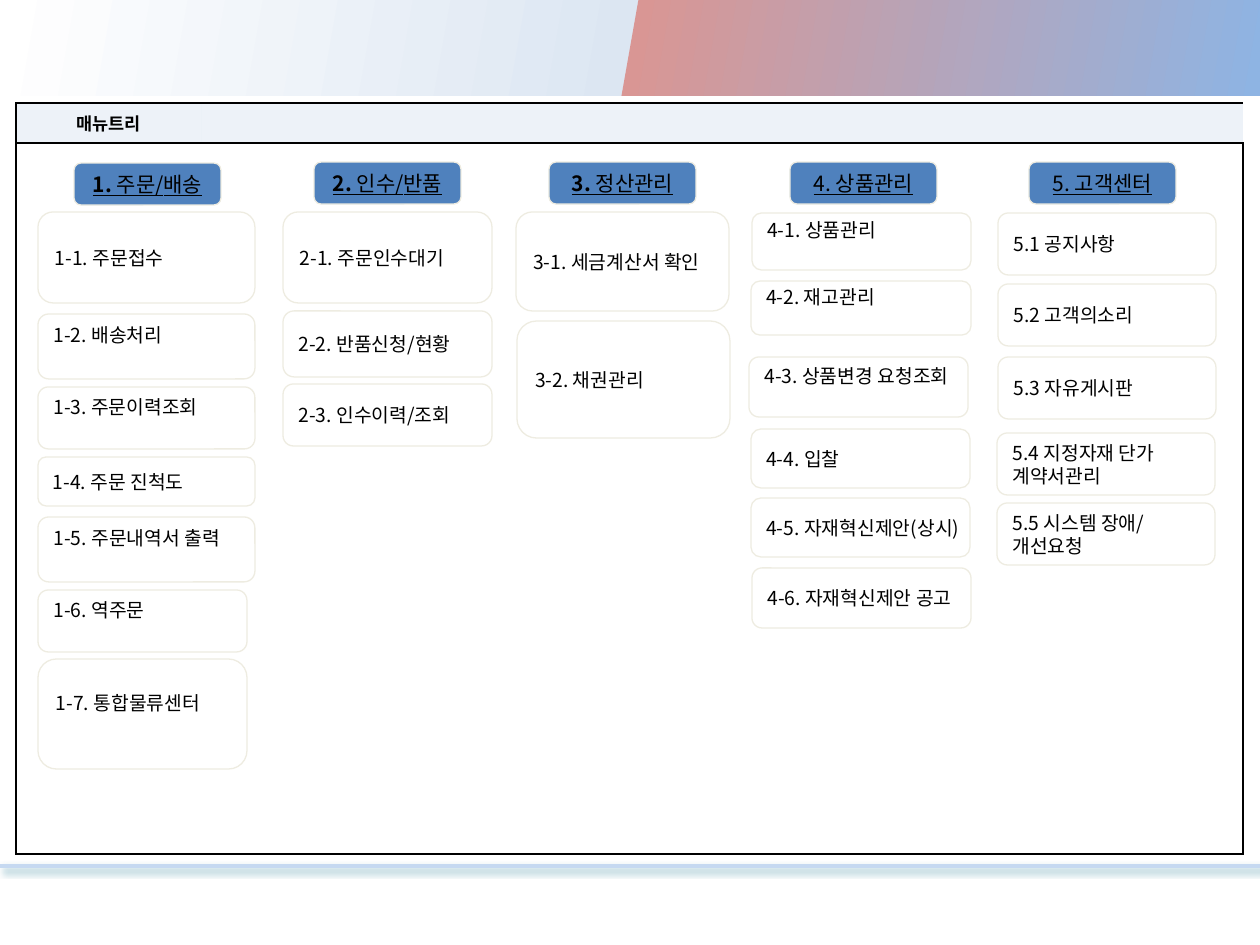
"""Build the menu tree slide with its banner, frame table and menu columns."""
from dataclasses import dataclass

from lxml.etree import SubElement
from pptx import Presentation
from pptx.dml.color import RGBColor
from pptx.enum.shapes import MSO_CONNECTOR as Connector, MSO_SHAPE as Shape
from pptx.enum.text import MSO_ANCHOR as Anchor, PP_ALIGN as Align
from pptx.oxml.ns import qn
from pptx.slide import Slide
from pptx.util import Emu, Pt

FONT = "Noto Sans CJK KR"
BLACK = RGBColor(0x00, 0x00, 0x00)
WHITE = RGBColor(0xFF, 0xFF, 0xFF)
BLUE = RGBColor(0x4F, 0x81, 0xBD)
IVORY = RGBColor(0xEE, 0xEC, 0xE1)
PALE_BLUE = RGBColor(0xDC, 0xE6, 0xF2)
LINE_BLUE = RGBColor(0xC6, 0xD9, 0xF1)
TEAL = RGBColor(0x31, 0x85, 0x9C)
ROSE = RGBColor(0xD9, 0x96, 0x94)
SKY = RGBColor(0x8E, 0xB4, 0xE3)
BANNER_STOPS = ((0, WHITE), (50, PALE_BLUE), (50, ROSE), (100, SKY))

SLIDE_WIDTH, SLIDE_HEIGHT = 1260, 945
HEAD_WIDTH, HEAD_HEIGHT = 147, 42
LIFT = 23


@dataclass(frozen=True)
class Item:
    label: str
    left: int
    top: int
    width: int
    height: int
    lifted: bool = False


@dataclass(frozen=True)
class Menu:
    number: str
    title: str
    left: int
    top: int
    bold_number: bool
    items: tuple[Item, ...]


MENUS = (
    Menu("1. ", "주문/배송", 74, 163, True, (
        Item("1-1. 주문접수", 38, 212, 217, 91),
        Item("1-2. 배송처리", 38, 314, 217, 65, True),
        Item("1-3. 주문이력조회", 38, 387, 217, 62, True),
        Item("1-4. 주문 진척도", 38, 457, 217, 49),
        Item("1-5. 주문내역서 출력", 38, 517, 217, 65, True),
        Item("1-6. 역주문", 38, 590, 209, 62, True),
        Item("1-7. 통합물류센터", 38, 659, 209, 110, True),
    )),
    Menu("2. ", "인수/반품", 314, 162, True, (
        Item("2-1. 주문인수대기", 283, 212, 209, 91),
        Item("2-2. 반품신청/현황", 283, 311, 209, 66),
        Item("2-3. 인수이력/조회", 283, 384, 209, 62),
    )),
    Menu("3. ", "정산관리", 549, 162, True, (
        Item("3-1. 세금계산서 확인", 516, 212, 213, 99),
        Item("3-2. 채권관리", 517, 321, 213, 117),
    )),
    Menu("4. ", "상품관리", 790, 162, False, (
        Item("4-1. 상품관리", 752, 213, 219, 57, True),
        Item("4-2. 재고관리", 751, 281, 220, 54, True),
        Item("4-3. 상품변경 요청조회", 749, 357, 219, 60, True),
        Item("4-4. 입찰", 751, 429, 219, 59),
        Item("4-5. 자재혁신제안(상시)", 751, 498, 219, 59),
        Item("4-6. 자재혁신제안 공고", 752, 568, 219, 60),
    )),
    Menu("5. ", "고객센터", 1029, 162, False, (
        Item("5.1 공지사항", 998, 213, 218, 62),
        Item("5.2 고객의소리", 998, 284, 218, 62),
        Item("5.3 자유게시판", 998, 357, 218, 62),
        Item("5.4 지정자재 단가\n계약서관리", 997, 433, 218, 62),
        Item("5.5 시스템 장애/\n개선요청", 997, 503, 218, 62),
    )),
)


def px(length: int) -> Emu:
    return Emu(round(length * 914400 / 126))


def add_run(para, text: str, size: int, bold=False, underline=False) -> None:
    span = para.add_run()
    span.text = text
    font = span.font
    font.size, font.bold, font.underline = Pt(size), bold, underline
    font.color.rgb = BLACK
    font.name = FONT
    SubElement(font._element, qn("a:ea"), typeface=FONT)


def add_box(slide: Slide, left: int, top: int, width: int, height: int, fill: RGBColor):
    box = slide.shapes.add_shape(Shape.ROUNDED_RECTANGLE, px(left), px(top), px(width), px(height))
    box.shadow.inherit = False
    box.fill.solid()
    box.fill.fore_color.rgb = fill
    box.line.color.rgb = IVORY
    box.line.width = Pt(0.75)
    box.text_frame.word_wrap = False
    box.text_frame.vertical_anchor = Anchor.MIDDLE
    return box


def add_item(slide: Slide, item: Item) -> None:
    frame = add_box(slide, item.left, item.top, item.width, item.height, WHITE).text_frame
    if item.lifted:
        frame.margin_top, frame.margin_bottom = px(0), px(LIFT)
    for index, text in enumerate(item.label.split("\n")):
        para = frame.add_paragraph() if index else frame.paragraphs[0]
        para.alignment = Align.LEFT
        add_run(para, text, 11)


def add_menu(slide: Slide, menu: Menu) -> None:
    head = add_box(slide, menu.left, menu.top, HEAD_WIDTH, HEAD_HEIGHT, BLUE)
    para = head.text_frame.paragraphs[0]
    para.alignment = Align.CENTER
    add_run(para, menu.number, 12, menu.bold_number, True)
    add_run(para, menu.title, 12, False, True)
    for item in menu.items:
        add_item(slide, item)


def add_color(parent, color: RGBColor, alpha: int = 100) -> None:
    node = SubElement(parent, qn("a:srgbClr"), val=str(color))
    if alpha < 100:
        SubElement(node, qn("a:alpha"), val=str(alpha * 1000))


def set_borders(cell, visible: dict[str, bool]) -> None:
    properties = cell._tc.get_or_add_tcPr()
    for side, shown in visible.items():
        edge = SubElement(properties, qn(f"a:ln{side}"), w=str(Pt(1)))
        if shown:
            add_color(SubElement(edge, qn("a:solidFill")), BLACK)
        else:
            SubElement(edge, qn("a:noFill"))


def add_frame_table(slide: Slide) -> None:
    widths, heights = (185, 866, 176), (40, 711)
    table = slide.shapes.add_table(2, 3, px(16), px(103), px(sum(widths)), px(sum(heights))).table
    for column, width in zip(table.columns, widths):
        column.width = px(width)
    for row, height in zip(table.rows, heights):
        row.height = px(height)
    table.cell(0, 1).merge(table.cell(0, 2))
    table.cell(1, 0).merge(table.cell(1, 1))
    for row in range(2):
        for column in range(3):
            cell = table.cell(row, column)
            set_borders(cell, {"L": column == 0, "R": column == 2, "T": True, "B": True})
            cell.vertical_anchor = Anchor.MIDDLE
            para = cell.text_frame.paragraphs[0]
            if row == 0:
                fill = SubElement(cell._tc.tcPr, qn("a:solidFill"))
                add_color(fill, PALE_BLUE, 50)
            else:
                cell.fill.background()
            if row == column == 0:
                para.alignment = Align.CENTER
                add_run(para, "매뉴트리", 10, True)
            else:
                SubElement(para._p, qn("a:endParaRPr"), sz="1000")


def add_banner(slide: Slide) -> None:
    banner = slide.shapes.add_shape(Shape.RECTANGLE, px(0), px(0), px(SLIDE_WIDTH), px(96))
    banner.shadow.inherit = False
    banner.line.fill.background()
    banner.fill.gradient()
    gradient = banner._element.spPr.find(qn("a:gradFill"))
    for child in list(gradient):
        gradient.remove(child)
    stops = SubElement(gradient, qn("a:gsLst"))
    for position, color in BANNER_STOPS:
        add_color(SubElement(stops, qn("a:gs"), pos=str(position * 1000)), color)
    SubElement(gradient, qn("a:lin"), ang="600000", scaled="0")


def add_footer_line(slide: Slide) -> None:
    line = slide.shapes.add_connector(Connector.STRAIGHT, px(0), px(866), px(SLIDE_WIDTH), px(866))
    line.line.color.rgb = LINE_BLUE
    line.line.width = Pt(2)
    effects = SubElement(line._element.spPr, qn("a:effectLst"))
    shadow = SubElement(effects, qn("a:outerShdw"), blurRad=str(Pt(4)), dist=str(Pt(3)),
                        dir="2700000", algn="tl", rotWithShape="0")
    add_color(shadow, TEAL, 40)


def main() -> None:
    deck = Presentation()
    deck.slide_width, deck.slide_height = px(SLIDE_WIDTH), px(SLIDE_HEIGHT)
    page = deck.slides.add_slide(deck.slide_layouts[6])
    add_frame_table(page)
    add_footer_line(page)
    add_banner(page)
    for menu in MENUS:
        add_menu(page, menu)
    deck.save("out.pptx")


if __name__ == "__main__":
    main()
